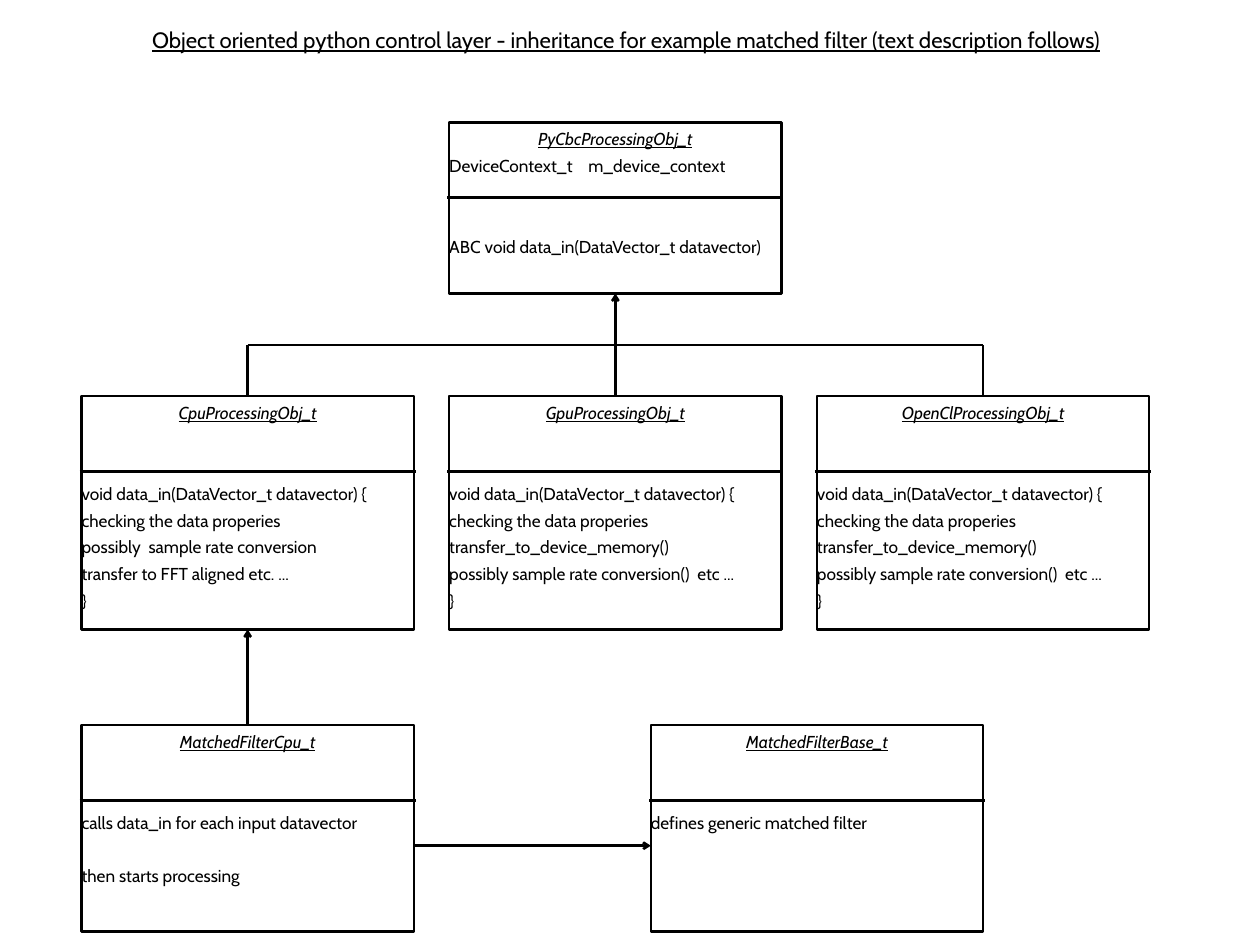
from collections import namedtuple

from lxml.etree import SubElement
from pptx import Presentation
from pptx.dml.color import RGBColor
from pptx.enum.shapes import MSO_CONNECTOR, MSO_SHAPE
from pptx.enum.text import MSO_ANCHOR, MSO_AUTO_SIZE, PP_ALIGN
from pptx.oxml.ns import qn
from pptx.util import Inches, Pt

FONT = "Cabin"
INK = "000000"
LINE_WIDTH = 2
CLASS_SIZE = 14
LINE_SPACING = 1.3
LINE_PITCH = 21.8  # points from one text line to the next

# Grid of the diagram, in inches
LEFT, COLUMN, BOX_WIDTH = 0.92, 4.15, 3.75
BASE_ROW, DEVICE_ROW, FILTER_ROW = (1.38, 1.93), (4.47, 2.63), (8.18, 2.33)
HEADER, OVERHANG = 0.85, 0.02
MEMBER_TAB = 1.57

DATA_IN = "void data_in(DataVector_t datavector) {"
CHECKING = "checking the data properies"
DEVICE_BODY = [(2, DATA_IN), (0, CHECKING), (0, "transfer_to_device_memory()"),
               (0, "possibly sample rate conversion()  etc ..."), (0, "}")]


class Box(namedtuple("Box", "left top width height")):
    """A region of the slide, in inches."""

    @property
    def right(self):
        """Right edge."""
        return self.left + self.width

    @property
    def bottom(self):
        """Bottom edge."""
        return self.top + self.height

    @property
    def center(self):
        """Horizontal middle."""
        return self.left + self.width / 2


def cell(column, row):
    """Return the box in a grid column and a (top, height) row."""
    return Box(LEFT + column * COLUMN, row[0], BOX_WIDTH, row[1])


def color(hex_code):
    """Turn a hex string into a colour."""
    return RGBColor.from_string(hex_code)


def format_text(paragraph, size, underline=False, italic=False):
    """Apply the common font to all runs of a paragraph."""
    for run in paragraph.runs:
        run.font.name = FONT
        run.font.size = Pt(size)
        run.font.underline = underline
        run.font.italic = italic
        run.font.bold = False
        run.font.color.rgb = color(INK)


def prepare_frame(frame, anchor):
    """Remove the margins of a text frame and fix its wrapping and anchor."""
    frame.margin_left = frame.margin_right = 0
    frame.margin_top = frame.margin_bottom = 0
    frame.auto_size = MSO_AUTO_SIZE.NONE
    frame.word_wrap = True
    frame.vertical_anchor = anchor


def heading(slide, box, text):
    """Fill and place the title placeholder."""
    title = slide.shapes.title
    title.left, title.top, title.width, title.height = map(Inches, box)
    prepare_frame(title.text_frame, MSO_ANCHOR.BOTTOM)
    title.text_frame.text = text
    paragraph = title.text_frame.paragraphs[0]
    paragraph.alignment = PP_ALIGN.CENTER
    format_text(paragraph, 18, underline=True)


def line(slide, start, end, arrow=False):
    """Draw a straight line, with an arrowhead at its end if wanted."""
    link = slide.shapes.add_connector(
        MSO_CONNECTOR.STRAIGHT, *map(Inches, (*start, *end)))
    link.line.color.rgb = color(INK)
    link.line.width = Pt(LINE_WIDTH)
    if arrow:
        SubElement(link.line._get_or_add_ln(), qn("a:tailEnd"), type="arrow")
    SubElement(link._element.spPr, qn("a:effectLst"))


def class_box(slide, box, name, members):
    """Draw a class: name, divider and members as (lines skipped, text)."""
    frame_shape = slide.shapes.add_shape(MSO_SHAPE.RECTANGLE, *map(Inches, box))
    frame_shape.shadow.inherit = False
    frame_shape.fill.background()
    frame_shape.line.color.rgb = color(INK)
    frame_shape.line.width = Pt(LINE_WIDTH)
    frame = frame_shape.text_frame
    prepare_frame(frame, MSO_ANCHOR.TOP)
    frame.text = name
    class_name = frame.paragraphs[0]
    class_name.alignment = PP_ALIGN.CENTER
    class_name.line_spacing = LINE_SPACING
    format_text(class_name, CLASS_SIZE, underline=True, italic=True)
    for skipped, text in members:
        member = frame.add_paragraph()
        member.text = text
        member.alignment = PP_ALIGN.LEFT
        member.line_spacing = LINE_SPACING
        member.space_before = Pt(skipped * LINE_PITCH)
        format_text(member, CLASS_SIZE)
        if "\t" in text:
            tabs = SubElement(member._p.get_or_add_pPr(), qn("a:tabLst"))
            SubElement(tabs, qn("a:tab"), pos=str(Inches(MEMBER_TAB)), algn="l")
    divider = box.top + HEADER
    line(slide, (box.left - OVERHANG, divider), (box.right + OVERHANG, divider))


def inheritance_tree(slide, parent, children):
    """Join the children by a bar and point from it to the parent."""
    bar = (parent.bottom + children[0].top) / 2
    line(slide, (children[0].center, bar), (children[-1].center, bar))
    for child in children:
        line(slide, (child.center, child.top), (child.center, bar))
    line(slide, (parent.center, bar), (parent.center, parent.bottom), arrow=True)


def build():
    """Build the slide with the class diagram."""
    deck = Presentation()
    deck.slide_width, deck.slide_height = Inches(14.22), Inches(10.66)
    slide = deck.slides.add_slide(deck.slide_layouts[5])
    heading(slide, Box(1.15, 0.18, 11.83, 0.42),
            "Object oriented python control layer - inheritance for example "
            "matched filter (text description follows)")

    processing = cell(1, BASE_ROW)
    devices = [cell(column, DEVICE_ROW) for column in range(3)]
    cpu, gpu, opencl = devices
    cpu_filter = cell(0, FILTER_ROW)
    base_filter = cpu_filter._replace(left=opencl.center - BOX_WIDTH)

    class_box(slide, processing, "PyCbcProcessingObj_t",
              [(0, "DeviceContext_t\tm_device_context"),
               (2, "ABC void data_in(DataVector_t datavector)")])
    class_box(slide, cpu, "CpuProcessingObj_t",
              [(2, DATA_IN), (0, CHECKING),
               (0, "possibly  sample rate conversion"),
               (0, "transfer to FFT aligned etc. ..."), (0, "}")])
    class_box(slide, gpu, "GpuProcessingObj_t", DEVICE_BODY)
    class_box(slide, opencl, "OpenClProcessingObj_t", DEVICE_BODY)
    class_box(slide, cpu_filter, "MatchedFilterCpu_t",
              [(2, "calls data_in for each input datavector"),
               (1, "then starts processing")])
    class_box(slide, base_filter, "MatchedFilterBase_t",
              [(2, "defines generic matched filter")])

    inheritance_tree(slide, processing, devices)
    line(slide, (cpu_filter.center, cpu_filter.top),
         (cpu.center, cpu.bottom), arrow=True)
    use_level = cpu_filter.top + 1.36
    line(slide, (cpu_filter.right, use_level),
         (base_filter.left, use_level), arrow=True)
    deck.save("out.pptx")


build()
